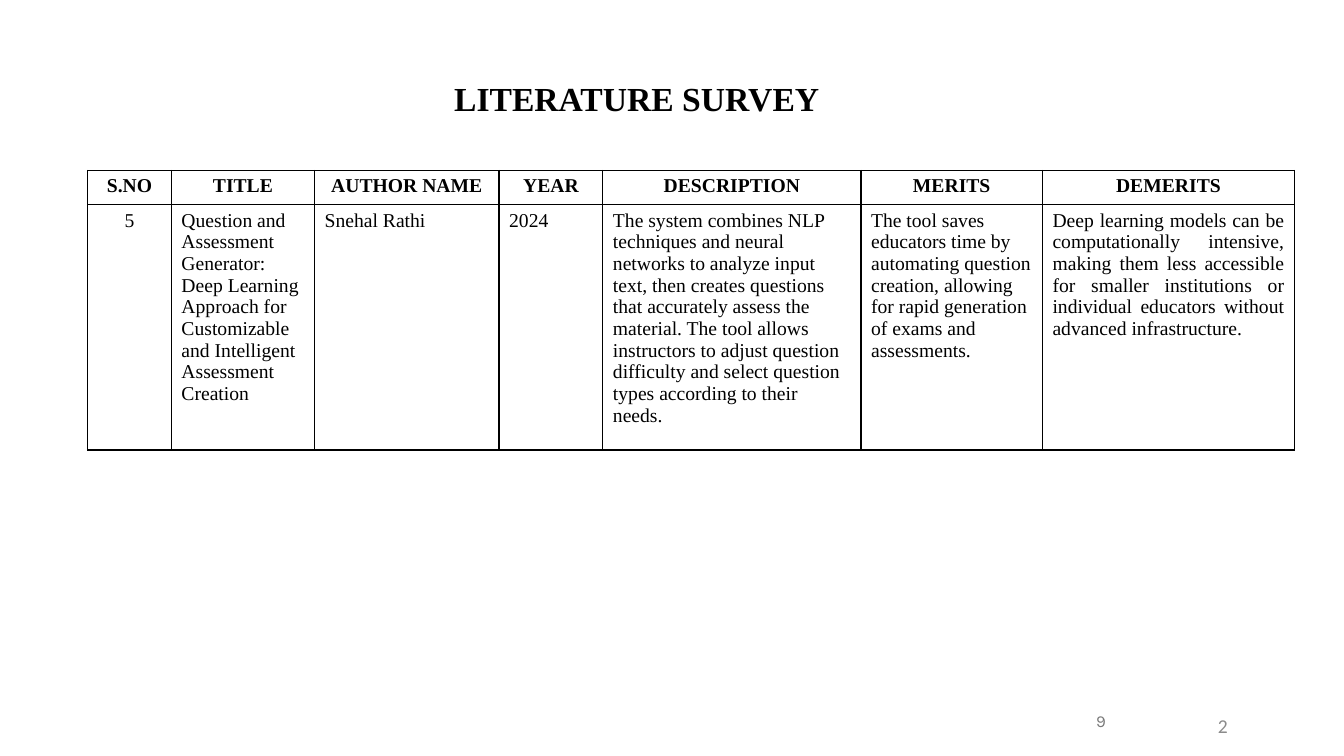
from dataclasses import dataclass
from lxml import etree
from pptx import Presentation
from pptx.dml.color import RGBColor
from pptx.enum.text import MSO_ANCHOR, PP_ALIGN
from pptx.oxml.ns import qn
from pptx.util import Inches, Pt

LEFT, MID, JUST = PP_ALIGN.LEFT, PP_ALIGN.CENTER, PP_ALIGN.JUSTIFY
TOP, CENTRE, BOTTOM = MSO_ANCHOR.TOP, MSO_ANCHOR.MIDDLE, MSO_ANCHOR.BOTTOM


@dataclass(frozen=True)
class Theme:
    serif: str = "Times New Roman"
    ink: str = "000000"
    title: int = 24
    body: int = 14
    rule: int = 1


THEME = Theme()
SIZE = (13.33, 7.5)

# text, (left, top, width, height), anchor, align, font, size, colour, bold
LABELS = [
    ("LITERATURE SURVEY", (1.17, 0.19, 10.29, 1.04), BOTTOM, MID,
     THEME.serif, THEME.title, THEME.ink, True),
    ("9", (9.42, 6.95, 3, 0.4), CENTRE, MID, "Karla", 12, "797979", False),
    ("2", (11.98, 7.03, 0.24, 0.34), TOP, LEFT, "Calibri", 14, "8B8B8B", False),
]

# heading, column width, alignment of the entry, entry
SURVEY = [
    ("S.NO", 0.83, MID, "5"),
    ("TITLE", 1.42, LEFT,
     "Question and Assessment Generator: Deep Learning Approach for "
     "Customizable and Intelligent Assessment Creation"),
    ("AUTHOR NAME", 1.83, LEFT, "Snehal Rathi"),
    ("YEAR", 1.03, LEFT, "2024"),
    ("DESCRIPTION", 2.56, LEFT,
     "The system combines NLP techniques and neural networks to analyze "
     "input text, then creates questions that accurately assess the "
     "material. The tool allows instructors to adjust question difficulty "
     "and select question types according to their needs."),
    ("MERITS", 1.8, LEFT,
     "The tool saves educators time by automating question creation, "
     "allowing for rapid generation of exams and assessments."),
    ("DEMERITS", 2.5, JUST,
     "Deep learning models can be computationally intensive, making them "
     "less accessible for smaller institutions or individual educators "
     "without advanced infrastructure."),
]
ORIGIN = (0.87, 1.69)
ROWS = (0.34, 2.43)


def write(frame, text, align, face, size, ink, bold):
    para = frame.paragraphs[0]
    para.text = text
    para.alignment = align
    font = para.font
    font.name, font.size, font.bold = face, Pt(size), bold
    font.color.rgb = RGBColor.from_string(ink)
    return para


def add_label(slide, text, box, anchor, *style):
    frame = slide.shapes.add_textbox(*map(Inches, box)).text_frame
    frame.word_wrap = True
    frame.vertical_anchor = anchor
    return write(frame, text, *style)


def rule_cell(cell):
    """Draw all four borders of a cell."""
    props = cell._tc.get_or_add_tcPr()
    for side in ("a:lnL", "a:lnR", "a:lnT", "a:lnB"):
        line = etree.SubElement(props, qn(side), w=str(Pt(THEME.rule)))
        fill = etree.SubElement(line, qn("a:solidFill"))
        etree.SubElement(fill, qn("a:srgbClr"), val=THEME.ink)


def add_survey(slide):
    width = sum(col[1] for col in SURVEY)
    area = map(Inches, (*ORIGIN, width, sum(ROWS)))
    table = slide.shapes.add_table(len(ROWS), len(SURVEY), *area).table
    table.first_row = table.horz_banding = False
    for row, high in zip(table.rows, ROWS):
        row.height = Inches(high)
    for c, (head, wide, align, entry) in enumerate(SURVEY):
        table.columns[c].width = Inches(wide)
        for r, (text, side) in enumerate(((head, MID), (entry, align))):
            cell = table.cell(r, c)
            rule_cell(cell)
            cell.fill.background()
            write(cell.text_frame, text, side, THEME.serif, THEME.body,
                  THEME.ink, r == 0)


def main():
    deck = Presentation()
    deck.slide_width, deck.slide_height = map(Inches, SIZE)
    slide = deck.slides.add_slide(deck.slide_layouts[6])
    title, *_ = [add_label(slide, *label) for label in LABELS]
    title.line_spacing = 0.9
    add_survey(slide)
    deck.save("out.pptx")


if __name__ == "__main__":
    main()
